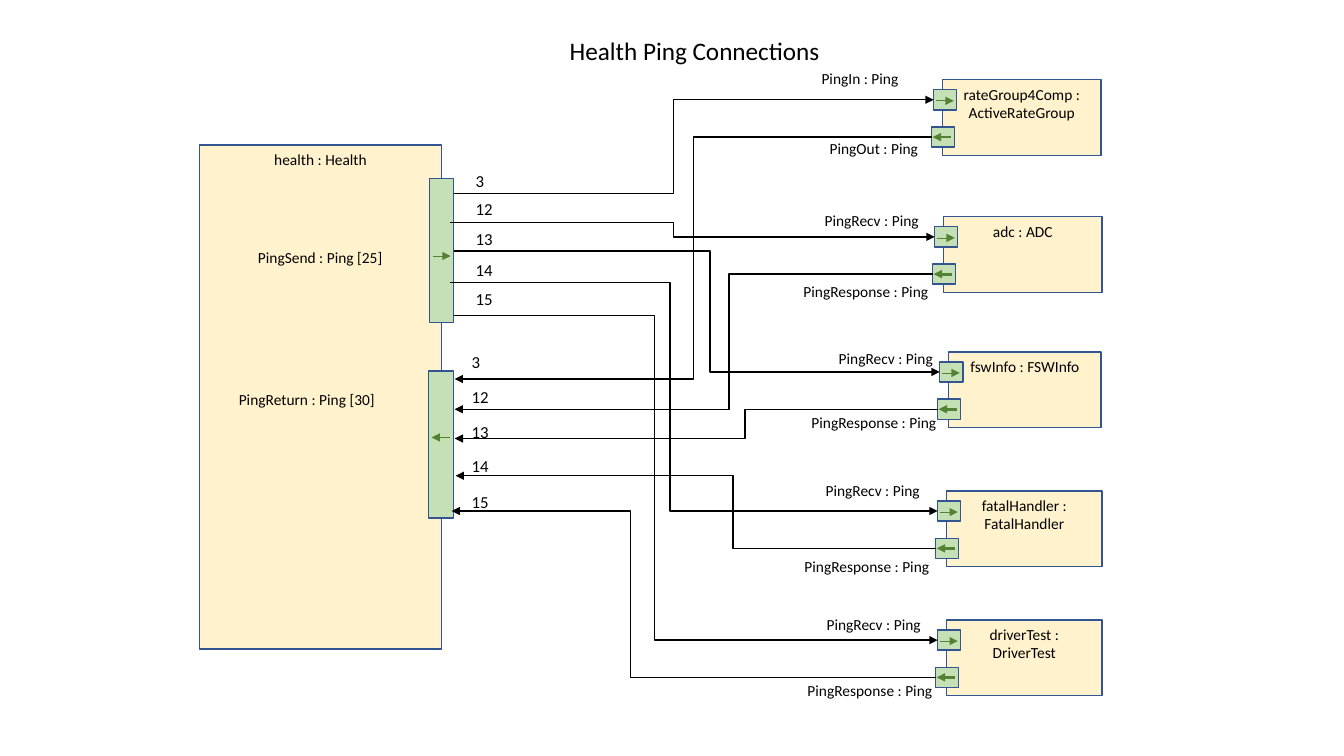
from typing import NamedTuple

from lxml import etree
from pptx import Presentation
from pptx.dml.color import RGBColor
from pptx.enum.shapes import MSO_CONNECTOR, MSO_SHAPE
from pptx.enum.text import MSO_ANCHOR, MSO_AUTO_SIZE, PP_ALIGN
from pptx.oxml.ns import qn
from pptx.util import Inches, Pt

RECTANGLE = MSO_SHAPE.RECTANGLE
STRAIGHT, ELBOW = MSO_CONNECTOR.STRAIGHT, MSO_CONNECTOR.ELBOW
TOP, LEFT, CENTER = MSO_ANCHOR.TOP, PP_ALIGN.LEFT, PP_ALIGN.CENTER
FIT_SHAPE = MSO_AUTO_SIZE.SHAPE_TO_FIT_TEXT

FONT = "Calibri"
COLORS = {
    "text": "000000",
    "wire": "000000",
    "component": "FFF2CC",
    "port": "C5E0B4",
    "outline": "325491",
    "port_arrow": "548235",
}
PORT_WIDTH, PORT_HEIGHT = 0.23, 0.2
COMPONENT_HEIGHT = 0.75


class Component(NamedTuple):
    name: str
    left: float
    top: float
    width: float
    input_label: tuple   # text, left, top, width
    output_label: tuple


class Channel(NamedTuple):
    number: int
    send_start: tuple    # x, y
    send_bend: float
    send_label_top: float
    return_end: tuple
    return_bend: float
    return_label_top: float


RECV, RESPONSE = "PingRecv : Ping", "PingResponse : Ping"
COMPONENTS = [
    Component("rateGroup4Comp : ActiveRateGroup", 9.35, 0.79, 1.57,
              ("PingIn : Ping", 8.05, 0.64, 0.97), ("PingOut : Ping", 8.13, 1.33, 1.08)),
    Component("adc : ADC", 9.36, 2.15, 1.57,
              (RECV, 8.08, 2.04, 1.14), (RESPONSE, 7.87, 2.75, 1.48)),
    Component("fswInfo : FSWInfo", 9.41, 3.49, 1.51,
              (RECV, 8.22, 3.41, 1.14), (RESPONSE, 7.95, 4.05, 1.48)),
    Component("fatalHandler : FatalHandler", 9.39, 4.87, 1.54,
              (RECV, 8.09, 4.72, 1.14), (RESPONSE, 7.88, 5.48, 1.48)),
    Component("driverTest : DriverTest", 9.39, 6.15, 1.54,
              (RECV, 8.1, 6.05, 1.14), (RESPONSE, 7.91, 6.71, 1.48)),
]
CHANNELS = [
    Channel(3, (4.5, 1.92), 6.68, 1.64, (4.51, 3.76), 6.88, 3.44),
    Channel(12, (4.46, 2.21), 6.68, 1.92, (4.51, 4.06), 7.23, 3.79),
    Channel(13, (4.5, 2.49), 7.04, 2.22, (4.51, 4.35), 7.39, 4.13),
    Channel(14, (4.46, 2.8), 6.65, 2.53, (4.52, 4.72), 7.27, 4.47),
    Channel(15, (4.5, 3.13), 6.49, 2.82, (4.48, 5.07), 6.25, 4.83),
]


def color(name):
    return RGBColor.from_string(COLORS[name])


def write(shape, text, size, alignment=LEFT):
    text_frame = shape.text_frame
    text_frame.text = text
    text_frame.vertical_anchor = TOP
    for paragraph in text_frame.paragraphs:
        paragraph.alignment = alignment
        paragraph.line_spacing = 1.0
        for run in paragraph.runs:
            run.font.name = FONT
            run.font.size = Pt(size)
            run.font.color.rgb = color("text")


def set_title(slide, text):
    title = slide.shapes.title
    title.left, title.top = Inches(5.55), Inches(0.3)
    title.width, title.height = Inches(2.71), Inches(0.4)
    write(title, text, 18)
    title.text_frame.word_wrap = False
    title.text_frame.auto_size = FIT_SHAPE


def add_label(slide, text, left, top, width, size=11, wrap=False):
    height = 0.29 if size == 11 else 0.3
    label = slide.shapes.add_textbox(Inches(left), Inches(top), Inches(width), Inches(height))
    write(label, text, size)
    label.text_frame.word_wrap = wrap
    label.text_frame.auto_size = FIT_SHAPE


def add_box(slide, left, top, width, height, fill):
    box = slide.shapes.add_shape(
        RECTANGLE, Inches(left), Inches(top), Inches(width), Inches(height))
    box.shadow.inherit = False
    box.fill.solid()
    box.fill.fore_color.rgb = color(fill)
    box.line.color.rgb = color("outline")
    box.line.width = Pt(1)
    return box


def add_named_box(slide, name, left, top, width, height):
    box = add_box(slide, left, top, width, height, "component")
    box.text_frame.word_wrap = True
    write(box, name, 11, CENTER)


def add_arrow(slide, kind, start, end, line_color, width):
    points = [Inches(value) for value in (*start, *end)]
    arrow = slide.shapes.add_connector(kind, *points)
    arrow.line.color.rgb = color(line_color)
    arrow.line.width = Pt(width)
    etree.SubElement(arrow.line._get_or_add_ln(), qn("a:tailEnd"), type="triangle")
    etree.SubElement(arrow._element.spPr, qn("a:effectLst"))
    return arrow


def add_wire(slide, start, end, bend_x):
    """Draw an elbow arrow whose vertical run stands at bend_x."""
    wire = add_arrow(slide, ELBOW, start, end, "wire", 1)
    share = round((bend_x - start[0]) / (end[0] - start[0]) * 100000)
    geometry = wire._element.spPr.find(qn("a:prstGeom"))
    adjustments = geometry.find(qn("a:avLst"))
    if adjustments is None:
        adjustments = etree.SubElement(geometry, qn("a:avLst"))
    etree.SubElement(adjustments, qn("a:gd"), name="adj1", fmla=f"val {share}")


def add_port_arrow(slide, start_x, end_x, y, width=0.5):
    add_arrow(slide, STRAIGHT, (start_x, y), (end_x, y), "port_arrow", width)


def add_health(slide):
    add_named_box(slide, "health : Health", 1.98, 1.44, 2.4, 5)
    add_label(slide, "PingSend : Ping [25]", 2.46, 2.41, 1.44)
    add_label(slide, "PingReturn : Ping [30]", 2.27, 3.82, 1.56)
    add_box(slide, 4.26, 1.77, 0.24, 1.43, "port")
    add_port_arrow(slide, 4.29, 4.47, 2.54)
    add_box(slide, 4.25, 3.68, 0.25, 1.46, "port")
    add_port_arrow(slide, 4.46, 4.28, 4.34)


def add_component(slide, component):
    """Draw a component with its ports; return the outer points of input and output."""
    left, top = component.left, component.top
    add_named_box(slide, component.name, left, top, component.width, COMPONENT_HEIGHT)
    input_x, output_x = left - 0.09, left - 0.11
    add_box(slide, input_x, top + 0.1, PORT_WIDTH, PORT_HEIGHT, "port")
    add_port_arrow(slide, input_x + 0.02, input_x + 0.2, top + 0.21)
    add_box(slide, output_x, top + 0.47, PORT_WIDTH, PORT_HEIGHT, "port")
    add_port_arrow(slide, output_x + 0.19, output_x + 0.01, top + 0.57, 0)
    add_label(slide, *component.input_label)
    add_label(slide, *component.output_label, wrap=component.output_label[0] == RESPONSE)
    return (input_x, top + 0.2), (output_x, top + 0.57)


def add_channel(slide, channel, input_point, output_point):
    add_wire(slide, channel.send_start, input_point, channel.send_bend)
    add_wire(slide, output_point, channel.return_end, channel.return_bend)
    for left, top in ((4.62, channel.send_label_top), (4.58, channel.return_label_top)):
        add_label(slide, str(channel.number), left, top, 0.46, size=12, wrap=True)


def main():
    presentation = Presentation()
    presentation.slide_width, presentation.slide_height = Inches(13.33), Inches(7.5)
    slide = presentation.slides.add_slide(presentation.slide_layouts.get_by_name("Title Only"))
    set_title(slide, "Health Ping Connections")
    add_health(slide)
    for component, channel in zip(COMPONENTS, CHANNELS):
        input_point, output_point = add_component(slide, component)
        add_channel(slide, channel, input_point, output_point)
    presentation.save("out.pptx")


if __name__ == "__main__":
    main()
